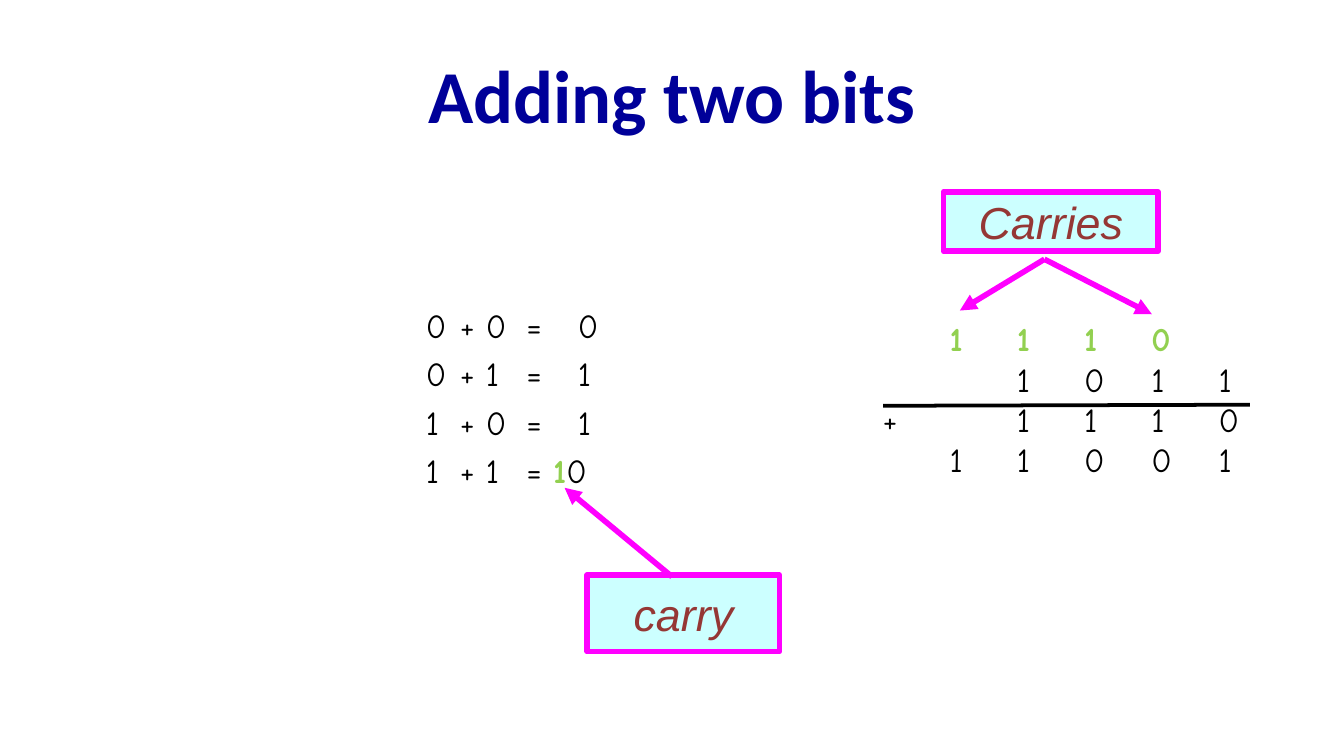
"""Build the slide on adding two bits, with carries marked."""
from lxml import etree
from pptx import Presentation
from pptx.dml.color import RGBColor
from pptx.enum.shapes import MSO_CONNECTOR, MSO_SHAPE
from pptx.enum.text import MSO_ANCHOR as Anchor, PP_ALIGN as Align
from pptx.oxml.ns import qn
from pptx.util import Cm, Pt


def color(hex_value):
    return RGBColor.from_string(hex_value)


def add_run(paragraph, text, hex_value, formats):
    run = paragraph.add_run()
    run.text = text
    for name, value in formats.items():
        setattr(run.font, name, value)
    run.font.color.rgb = color(hex_value)


BLACK, GREEN, MAGENTA = "000000", "92D050", "FF00FF"
TITLE = {"name": "Calibri", "size": Pt(40), "bold": True}
LABEL = {"name": "Arial", "size": Pt(24), "italic": True}
DIGIT = {"name": "Comic Neue", "size": Pt(18), "bold": False}
CARRY = {**DIGIT, "bold": True}

prs = Presentation()
prs.slide_width, prs.slide_height = Cm(25.4), Cm(14.29)
slide = prs.slides.add_slide(prs.slide_layouts[5])
shapes = slide.shapes

title = shapes.title
title_box = {"left": 1.27, "top": 0.58, "width": 22.86, "height": 2.39}
for side, length in title_box.items():
    setattr(title, side, Cm(length))
title.text_frame.vertical_anchor = Anchor.MIDDLE
heading = title.text_frame.paragraphs[0]
heading.alignment = Align.CENTER
add_run(heading, "Adding two bits", "000099", TITLE)

bit_sums = [
    [("0\t+ 0\t=\t0", BLACK, DIGIT)],
    [("0\t+ 1\t=\t1", BLACK, DIGIT)],
    [("1\t+ 0\t=\t1", BLACK, DIGIT)],
    [("1\t+ 1\t= ", BLACK, DIGIT), ("1", GREEN, CARRY), ("0", BLACK, DIGIT)],
]
long_addition = [
    [("\t1\t1\t1\t0", GREEN, CARRY)],
    [("\t\t1\t0\t1\t1", BLACK, DIGIT)],
    [("+\t\t1\t1\t1\t0", BLACK, DIGIT)],
    [("\t1\t1\t0\t0\t1", BLACK, DIGIT)],
]
columns = [1.27 * place for place in range(1, 6)]
for box, rows, spacing, stops in [
    ((7.8, 5.64, 3.76, 3.78), bit_sums, 1.2, [0.64, 1.9, 2.87]),
    ((16.43, 5.89, 7.32, 3.33), long_addition, 1.0, columns),
]:
    frame = shapes.add_textbox(*map(Cm, box)).text_frame
    frame.word_wrap = True
    for number, row in enumerate(rows):
        line = frame.add_paragraph() if number else frame.paragraphs[0]
        line.line_spacing = spacing if number else 1.0
        tabs = etree.SubElement(line._p.get_or_add_pPr(), qn("a:tabLst"))
        for stop in stops:
            etree.SubElement(tabs, qn("a:tab"), pos=str(Cm(stop)), algn="l")
        for text, hex_value, formats in row:
            add_run(line, text, hex_value, formats)

for word, box in [
    ("carry", (11.1, 10.87, 3.63, 1.45)),
    ("Carries", (17.83, 3.63, 4.06, 1.12)),
]:
    callout = shapes.add_shape(MSO_SHAPE.RECTANGLE, *map(Cm, box))
    callout.shadow.inherit = False
    callout.fill.solid()
    callout.fill.fore_color.rgb = color("CCFFFF")
    callout.line.color.rgb = color(MAGENTA)
    callout.line.width = Pt(3)
    callout.text_frame.word_wrap = False
    callout.text_frame.vertical_anchor = Anchor.MIDDLE
    caption = callout.text_frame.paragraphs[0]
    caption.alignment = Align.CENTER
    add_run(caption, word, "953735", LABEL)

for ends, hex_value, weight, arrow in [
    ((12.7, 10.9, 10.67, 9.22), MAGENTA, 3, True),
    ((16.69, 7.67, 23.62, 7.65), BLACK, 2, False),
    ((19.74, 4.9, 18.14, 5.87), MAGENTA, 3, True),
    ((19.74, 4.9, 21.77, 5.94), MAGENTA, 3, True),
]:
    pointer = shapes.add_connector(MSO_CONNECTOR.STRAIGHT, *map(Cm, ends))
    pointer.line.color.rgb = color(hex_value)
    pointer.line.width = Pt(weight)
    if arrow:
        outline = pointer.line._get_or_add_ln()
        etree.SubElement(outline, qn("a:tailEnd"), type="triangle")
    etree.SubElement(pointer._element.spPr, qn("a:effectLst"))

prs.save("out.pptx")
